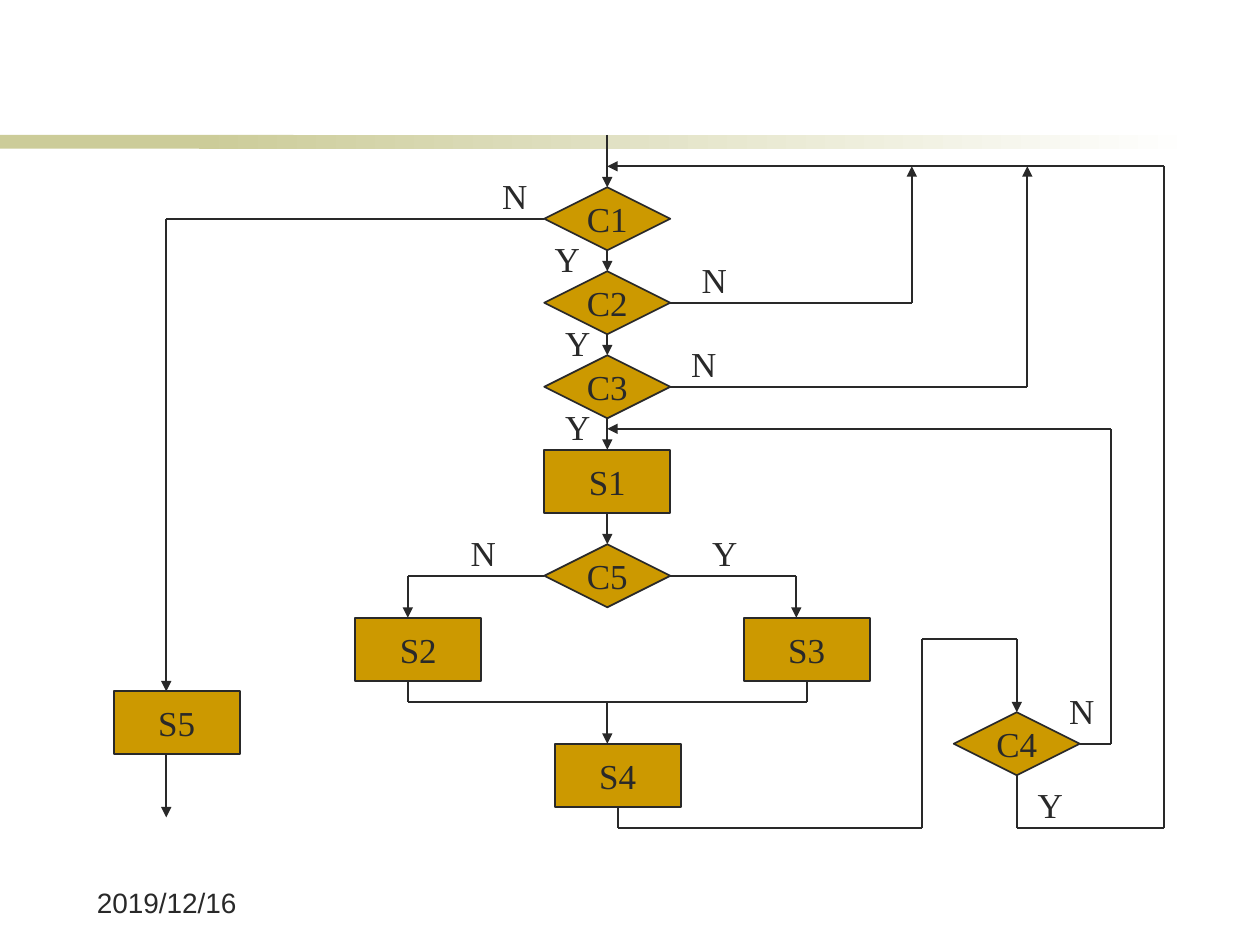
"""Build a flowchart of nested loops and branches on a grid of twelfths of an inch."""
from dataclasses import dataclass

import lxml.etree
import pptx
import pptx.dml.color
import pptx.enum.shapes
import pptx.enum.text
import pptx.oxml.ns
import pptx.util


@dataclass(frozen=True)
class Theme:
    ink: str = "292929"
    gold: str = "CC9900"
    sage: str = "CCCC99"
    white: str = "FFFFFF"
    serif: str = "Times New Roman"
    sans: str = "Arial"
    large: int = 20
    small: int = 16
    line: int = 1


theme = Theme()
rgb = pptx.dml.color.RGBColor.from_string
kinds = pptx.enum.shapes.MSO_SHAPE
inch = pptx.util.Inches
cell = 1 / 12
left, top = 4.82, 1.07

deck = pptx.Presentation()
deck.slide_width, deck.slide_height = inch(10), inch(7.5)
slide = deck.slides.add_slide(deck.slide_layouts[6])
shapes = slide.shapes


def place(col, row):
    return inch(left + col * cell), inch(top + row * cell)


def write(frame, text, font, size):
    frame.text = text
    run = frame.paragraphs[0].runs[0]
    run.font.name = font
    run.font.size = pptx.util.Pt(size)
    run.font.color.rgb = rgb(theme.ink)


# Header band
for start, width, fade in ((0, 2.33, False), (1.58, 7.92, True)):
    band = shapes.add_shape(kinds.RECTANGLE, inch(start), inch(top), inch(width), inch(0.11))
    band.shadow.inherit = False
    band.line.fill.background()
    if fade:
        band.fill.gradient()
        band.fill.gradient_angle = 0
        for stop, color, spot in zip(band.fill.gradient_stops, (theme.sage, theme.white), (0, 1)):
            stop.color.rgb = rgb(color)
            stop.position = spot
    else:
        band.fill.solid()
        band.fill.fore_color.rgb = rgb(theme.sage)

# Name, centre column, top row
nodes = (
    ("S1", 0, 30), ("C4", 39, 55), ("C5", 0, 39), ("C3", 0, 21), ("C2", 0, 13),
    ("C1", 0, 5), ("S2", -18, 46), ("S3", 19, 46), ("S4", 1, 58), ("S5", -41, 53),
)
wide, high = 12, 6
ports = {}
for name, col, row in nodes:
    kind = kinds.FLOWCHART_DECISION if name.startswith("C") else kinds.FLOWCHART_PROCESS
    node = shapes.add_shape(kind, *place(col - wide / 2, row), inch(wide * cell), inch(high * cell))
    node.shadow.inherit = False
    node.fill.solid()
    node.fill.fore_color.rgb = rgb(theme.gold)
    node.line.color.rgb = rgb(theme.ink)
    node.line.width = pptx.util.Pt(theme.line)
    frame = node.text_frame
    frame.word_wrap = False
    frame.vertical_anchor = pptx.enum.text.MSO_ANCHOR.MIDDLE
    write(frame, name, theme.serif, theme.large)
    frame.paragraphs[0].alignment = pptx.enum.text.PP_ALIGN.CENTER
    mid = row + high // 2
    sides = ((col, row), (col - wide // 2, mid), (col, row + high), (col + wide // 2, mid))
    for site, spot in enumerate(sides):
        ports[spot] = node, site

# Arrow at the end, then the corners
routes = (
    (True, (0, 0), (0, 5)),
    (True, (0, 11), (0, 13)),
    (True, (0, 19), (0, 21)),
    (True, (0, 27), (0, 30)),
    (True, (0, 36), (0, 39)),
    (True, (-6, 8), (-42, 8), (-42, 53)),
    (True, (-42, 59), (-42, 65)),
    (True, (-6, 42), (-19, 42), (-19, 46)),
    (True, (6, 42), (18, 42), (18, 46)),
    (False, (-19, 52), (-19, 54), (19, 54), (19, 52)),
    (True, (0, 54), (0, 58)),
    (True, (1, 64), (1, 66), (30, 66), (30, 48), (39, 48), (39, 55)),
    (True, (45, 58), (48, 58), (48, 28), (0, 28)),
    (True, (39, 61), (39, 66), (53, 66), (53, 3), (0, 3)),
    (True, (6, 16), (29, 16), (29, 3)),
    (True, (6, 24), (40, 24), (40, 3)),
)
for arrow, *spots in routes:
    for start, end in zip(spots, spots[1:]):
        link = shapes.add_connector(
            pptx.enum.shapes.MSO_CONNECTOR.STRAIGHT, *place(*start), *place(*end))
        link.line.color.rgb = rgb(theme.ink)
        link.line.width = pptx.util.Pt(theme.line)
        if start in ports:
            link.begin_connect(*ports[start])
        if end in ports:
            link.end_connect(*ports[end])
        props = link.element.spPr
        if arrow and end == spots[-1]:
            tail = lxml.etree.SubElement(props.get_or_add_ln(), pptx.oxml.ns.qn("a:tailEnd"))
            tail.set("type", "triangle")
        lxml.etree.SubElement(props, pptx.oxml.ns.qn("a:effectLst"))

# Answer, centre column, top row
marks = (
    ("N", -12, 37), ("Y", 11, 37), ("N", 45, 52), ("Y", 42, 61), ("N", 10, 11),
    ("N", 9, 19), ("N", -9, 3), ("Y", -4, 9), ("Y", -3, 17), ("Y", -3, 25),
)
for text, col, row in marks:
    mark = shapes.add_textbox(*place(col - 2.2, row + 0.2), inch(0.4), inch(0.43))
    mark.text_frame.word_wrap = False
    mark.text_frame.auto_size = pptx.enum.text.MSO_AUTO_SIZE.SHAPE_TO_FIT_TEXT
    write(mark.text_frame, text, theme.serif, theme.large)

date = shapes.add_textbox(inch(0.67), inch(6.98), inch(1.41), inch(0.39))
date.text_frame.word_wrap = True
write(date.text_frame, "2019/12/16", theme.sans, theme.small)

deck.save("out.pptx")
